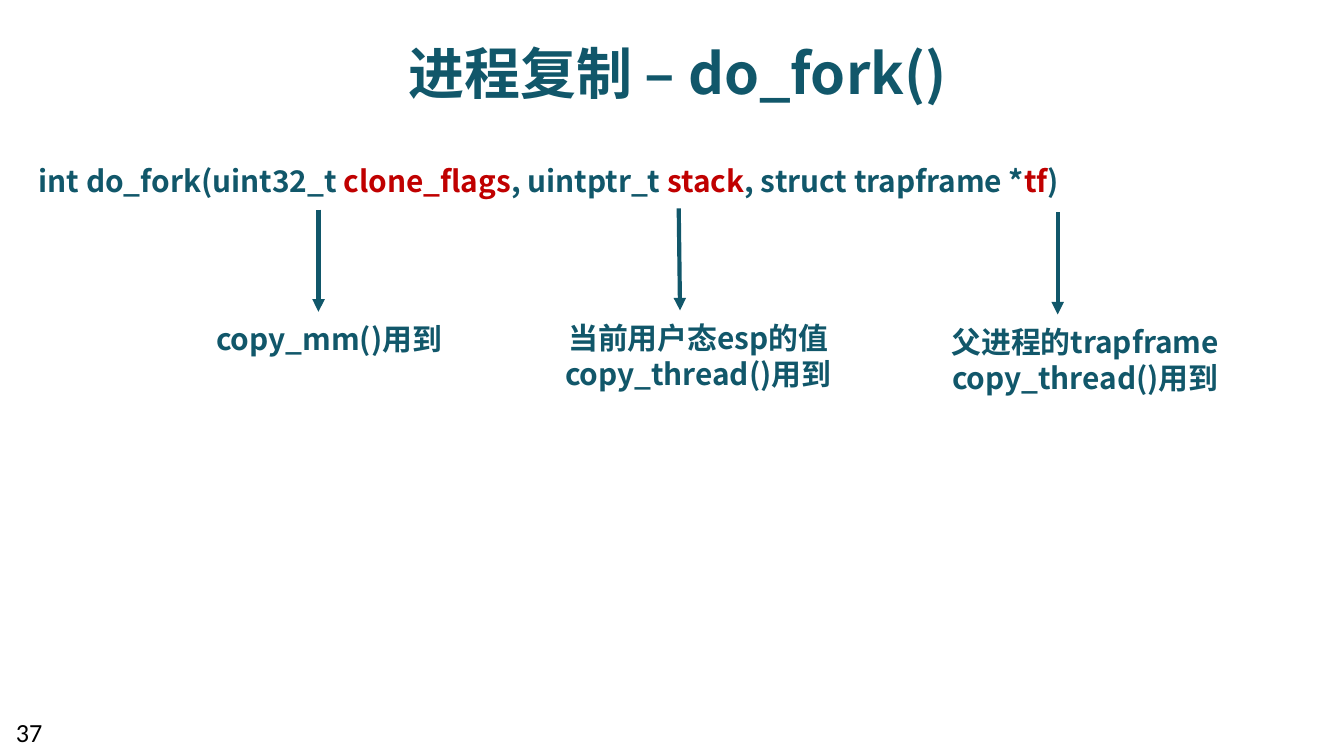
from dataclasses import dataclass

from lxml import etree
from pptx import Presentation
from pptx.dml.color import RGBColor
from pptx.enum.shapes import MSO_CONNECTOR
from pptx.enum.text import MSO_ANCHOR, MSO_AUTO_SIZE, PP_ALIGN
from pptx.oxml.ns import qn
from pptx.util import Inches, Pt

LEFT, CENTER = PP_ALIGN.LEFT, PP_ALIGN.CENTER
MIDDLE = MSO_ANCHOR.MIDDLE
NO_FIT = MSO_AUTO_SIZE.NONE
STRAIGHT = MSO_CONNECTOR.STRAIGHT


@dataclass(frozen=True)
class Theme:
    """Colours, fonts and sizes of the slide."""
    teal: RGBColor = RGBColor(0x11, 0x57, 0x6A)
    red: RGBColor = RGBColor(0xC0, 0x00, 0x00)
    black: RGBColor = RGBColor(0, 0, 0)
    font: str = "Noto Sans CJK SC"
    number_font: str = "Calibri"
    title: int = 30
    body: int = 16
    number: int = 14
    line: float = 2.25


THEME = Theme()


def style_run(r, size, color, font=THEME.font, bold=True):
    """Format a run, with the same face for Latin and Chinese text."""
    r.font.size, r.font.bold, r.font.name = Pt(size), bold, font
    r.font.color.rgb = color
    etree.SubElement(r._r.get_or_add_rPr(), qn("a:ea")).set("typeface", font)


def add_title(s, text):
    """Place and format the title placeholder."""
    sp = s.shapes.title
    sp.left, sp.top = Inches(0.39), Inches(0.23)
    sp.width, sp.height = Inches(9.3), Inches(0.61)
    tf = sp.text_frame
    tf.text = text
    tf.auto_size, tf.vertical_anchor = NO_FIT, MIDDLE
    p = tf.paragraphs[0]
    p.alignment = CENTER
    style_run(p.runs[0], THEME.title, THEME.teal)


def add_text(s, box, lines, align=LEFT):
    """Add a wrapped text box of lines, each a list of text and colour pairs."""
    tf = s.shapes.add_textbox(*map(Inches, box)).text_frame
    tf.word_wrap = True
    for i, line in enumerate(lines):
        p = tf.add_paragraph() if i else tf.paragraphs[0]
        p.alignment = align
        for text, color in line:
            r = p.add_run()
            r.text = text
            style_run(r, THEME.body, color)


def add_arrow(s, x1, y1, x2, y2):
    """Add a straight arrow that points to its second end."""
    c = s.shapes.add_connector(STRAIGHT, *map(Inches, (x1, y1, x2, y2)))
    c.line.color.rgb, c.line.width = THEME.teal, Pt(THEME.line)
    etree.SubElement(c.line._get_or_add_ln(), qn("a:tailEnd")).set("type", "triangle")
    etree.SubElement(c._element.spPr, qn("a:effectLst"))


def add_number(s, text):
    """Add the page number at the lower left."""
    box = map(Inches, (0.02, 5.28, 0.48, 0.3))
    tf = s.shapes.add_textbox(*box).text_frame
    tf.text = text
    tf.word_wrap = True
    style_run(tf.paragraphs[0].runs[0], THEME.number, THEME.black,
              THEME.number_font, False)


def main():
    """Build the slide and save it."""
    prs = Presentation()
    prs.slide_width = Inches(10)
    prs.slide_height = prs.slide_width * 9 // 16
    s = prs.slides.add_slide(prs.slide_layouts[5])
    add_title(s, "进程复制 – do_fork()")

    teal, red = THEME.teal, THEME.red
    signature = [
        ("int do_fork(uint32_t ", teal), ("clone_flags", red),
        (", uintptr_t ", teal), ("stack", red),
        (", struct trapframe *", teal), ("tf", red), (")", teal),
    ]
    add_text(s, (0.19, 1.16, 7.97, 0.37), [signature])

    arguments = [
        ((2.37, 1.56, 2.37, 2.32), (1.51, 2.34, 1.91, 0.37), LEFT,
         ["copy_mm()用到"]),
        ((5.05, 1.55, 5.06, 2.31), (4.09, 2.33, 2.21, 0.64), CENTER,
         ["当前用户态esp的值", "copy_thread()用到"]),
        ((7.87, 1.58, 7.87, 2.34), (6.93, 2.36, 2.29, 0.64), CENTER,
         ["父进程的trapframe", "copy_thread()用到"]),
    ]
    for arrow, box, align, lines in arguments:
        add_arrow(s, *arrow)
        add_text(s, box, [[(line, teal)] for line in lines], align)

    add_number(s, "37")
    prs.save("out.pptx")


if __name__ == "__main__":
    main()
